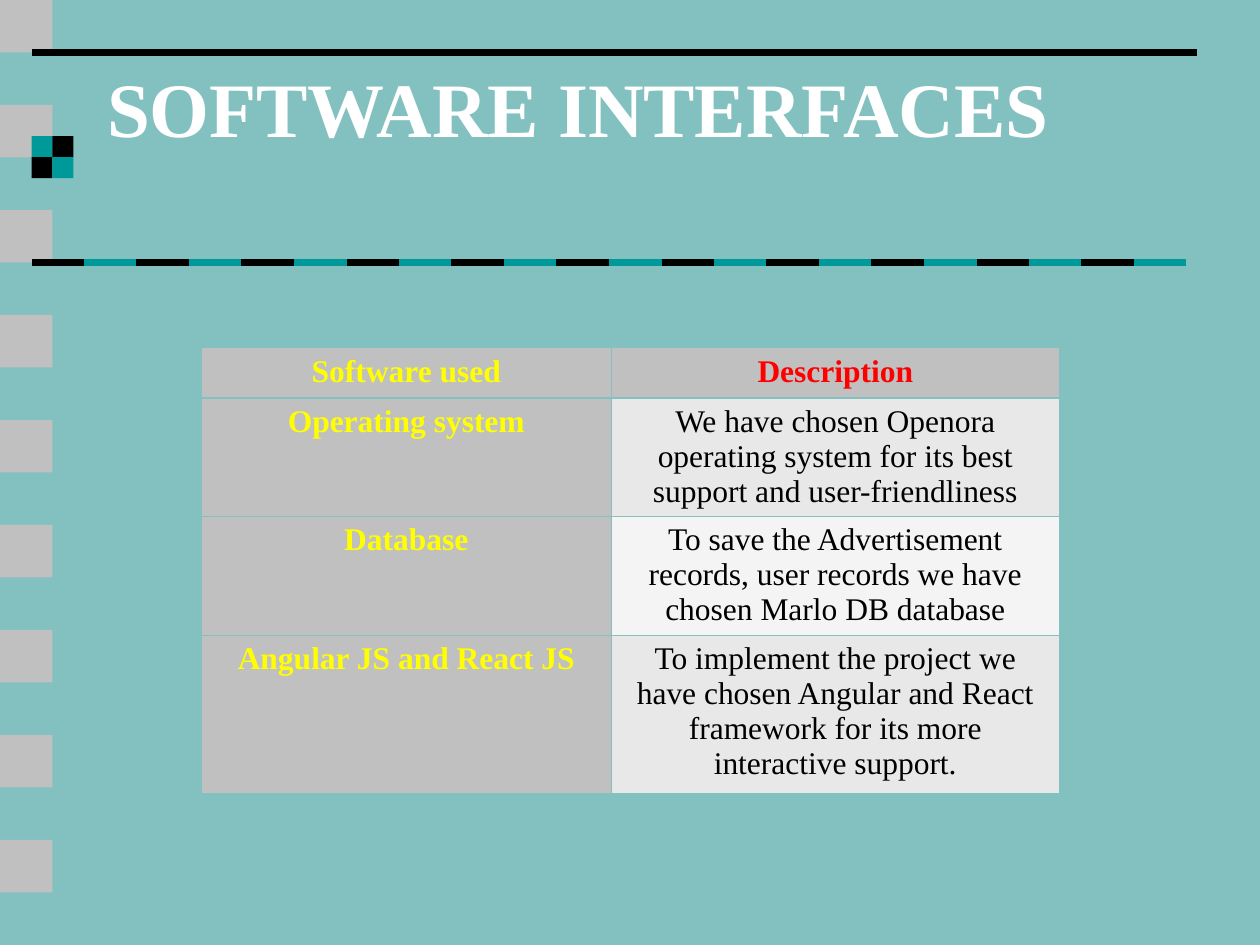
import pptx
import pptx.dml.color
import pptx.enum.shapes
import pptx.enum.text
import pptx.oxml
import pptx.oxml.ns
import pptx.util

Inches = pptx.util.Inches
Pt = pptx.util.Pt
RGBColor = pptx.dml.color.RGBColor

BACKGROUND = RGBColor(0x83, 0xC1, 0xC0)
GREY = RGBColor(0xC0, 0xC0, 0xC0)
TEAL = RGBColor(0x00, 0x99, 0x99)
BLACK = RGBColor(0, 0, 0)
WHITE = RGBColor(0xFF, 0xFF, 0xFF)
YELLOW = RGBColor(0xFF, 0xFF, 0)
RED = RGBColor(0xFF, 0, 0)
BAND_DARK = RGBColor(0xE8, 0xE8, 0xE8)
BAND_LIGHT = RGBColor(0xF4, 0xF4, 0xF4)
FONT = "Times New Roman"

TITLE = "SOFTWARE INTERFACES"
ROWS = [
    ("Software used", "Description"),
    ("Operating system",
     "We have chosen Openora operating system for its best support and user-friendliness"),
    ("Database",
     "To save the Advertisement records, user records we have chosen Marlo DB database"),
    ("Angular JS and React JS",
     "To implement the project we have chosen Angular and React framework "
     "for its more interactive support."),
]
COLUMN_WIDTHS = [3.25, 3.56]
ROW_HEIGHTS = [0.4, 0.94, 0.94, 1.26]
UNIT = 5 / 12
MARGIN = 0.25


def add_square(slide, left, top, size, color):
    square = slide.shapes.add_shape(
        pptx.enum.shapes.MSO_SHAPE.RECTANGLE,
        Inches(left), Inches(top), Inches(size), Inches(size))
    square.shadow.inherit = False
    square.fill.solid()
    square.fill.fore_color.rgb = color
    square.line.fill.background()


def add_rule(slide, start, end, y, color):
    rule = slide.shapes.add_connector(
        pptx.enum.shapes.MSO_CONNECTOR.STRAIGHT,
        Inches(start), Inches(y), Inches(end), Inches(y))
    rule.line.color.rgb = color
    rule.line.width = Pt(4.5)
    rule._element.spPr.append(pptx.oxml.parse_xml(
        f"<a:effectLst {pptx.oxml.ns.nsdecls('a')}/>"))


def set_borders(cell, top, bottom):
    widths = {"lnL": 0.45, "lnR": 0.45, "lnT": top, "lnB": bottom}
    for position, (side, width) in enumerate(widths.items()):
        cell._tc.get_or_add_tcPr().insert(position, pptx.oxml.parse_xml(
            f"<a:{side} {pptx.oxml.ns.nsdecls('a')} w=\"{Pt(width)}\"><a:solidFill>"
            f"<a:srgbClr val=\"{BACKGROUND}\"/></a:solidFill></a:{side}>"))


def add_decoration(slide):
    for n in range(9):
        add_square(slide, 0, 2 * n * UNIT, UNIT, GREY)
    add_rule(slide, MARGIN, 9.5, UNIT, BLACK)
    checker = 1 / 6
    for row in range(2):
        for column in range(2):
            add_square(slide, MARGIN + column * checker, 1.08 + row * checker,
                       checker, TEAL if row == column else BLACK)
    for n in range(22):
        start = MARGIN + n * UNIT
        add_rule(slide, start, start + UNIT, 5 * UNIT, TEAL if n % 2 else BLACK)


def add_title(slide):
    title = slide.shapes.title
    title.left, title.top = Inches(0.75), Inches(0.58)
    title.width, title.height = Inches(8.5), Inches(1.25)
    frame = title.text_frame
    frame.text = TITLE
    frame.word_wrap = True
    frame.auto_size = pptx.enum.text.MSO_AUTO_SIZE.NONE
    frame.vertical_anchor = pptx.enum.text.MSO_ANCHOR.MIDDLE
    frame.margin_top, frame.margin_bottom = 0, Inches(0.71)
    heading = frame.paragraphs[0]
    heading.alignment = pptx.enum.text.PP_ALIGN.LEFT
    heading.font.name = FONT
    heading.font.size = Pt(44)
    heading.font.bold = True
    heading.font.color.rgb = WHITE


def cell_style(row, column):
    if column == 0:
        return GREY, YELLOW
    if row == 0:
        return GREY, RED
    return (BAND_DARK if row % 2 else BAND_LIGHT), BLACK


def add_software_table(slide):
    software = slide.shapes.add_table(
        len(ROWS), len(COLUMN_WIDTHS), Inches(1.6), Inches(2.76),
        Inches(sum(COLUMN_WIDTHS)), Inches(sum(ROW_HEIGHTS))).table
    for column, width in zip(software.columns, COLUMN_WIDTHS):
        column.width = Inches(width)
    for row, height in zip(software.rows, ROW_HEIGHTS):
        row.height = Inches(height)
    for r, entries in enumerate(ROWS):
        for c, entry in enumerate(entries):
            cell = software.cell(r, c)
            fill, color = cell_style(r, c)
            cell.text = entry
            cell.margin_left = cell.margin_right = Inches(0.08)
            cell.fill.solid()
            cell.fill.fore_color.rgb = fill
            set_borders(cell, 1.47 if r == 1 else 0.45, 1.47 if r == 0 else 0.45)
            paragraph = cell.text_frame.paragraphs[0]
            paragraph.alignment = pptx.enum.text.PP_ALIGN.CENTER
            paragraph.font.name = FONT
            paragraph.font.size = Pt(18)
            paragraph.font.bold = r == 0 or c == 0
            paragraph.font.color.rgb = color


def main():
    deck = pptx.Presentation()
    deck.slide_width, deck.slide_height = Inches(10), Inches(7.5)
    slide = deck.slides.add_slide(deck.slide_layouts[5])
    slide.background.fill.solid()
    slide.background.fill.fore_color.rgb = BACKGROUND
    add_decoration(slide)
    add_title(slide)
    add_software_table(slide)
    deck.save("out.pptx")


if __name__ == "__main__":
    main()
